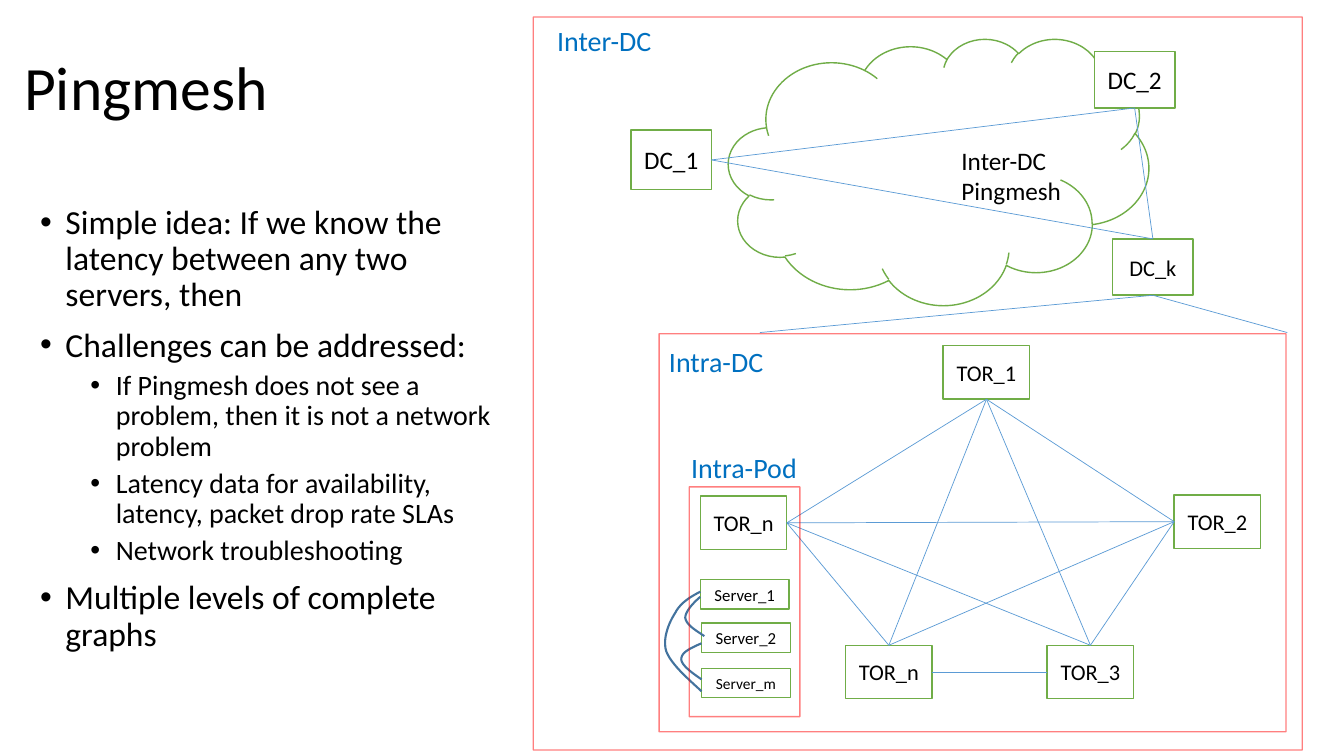
"""Build the Pingmesh slide: bullets beside the inter-DC, intra-DC and intra-pod graphs."""
from dataclasses import dataclass
from itertools import combinations

from lxml import etree
from pptx import Presentation
from pptx.dml.color import RGBColor
from pptx.enum.shapes import MSO_CONNECTOR, MSO_SHAPE
from pptx.enum.text import MSO_ANCHOR, MSO_AUTO_SIZE, PP_ALIGN
from pptx.oxml.ns import qn
from pptx.util import Cm, Pt

STRAIGHT = MSO_CONNECTOR.STRAIGHT
RECTANGLE, CLOUD = MSO_SHAPE.RECTANGLE, MSO_SHAPE.CLOUD
TOP_ANCHOR, MIDDLE = MSO_ANCHOR.TOP, MSO_ANCHOR.MIDDLE
GROW, FIXED = MSO_AUTO_SIZE.SHAPE_TO_FIT_TEXT, MSO_AUTO_SIZE.NONE
LEFT_ALIGN, CENTER = PP_ALIGN.LEFT, PP_ALIGN.CENTER
TOP, LEFT, BOTTOM, RIGHT = range(4)


@dataclass(frozen=True)
class Theme:
    """Colours and type sizes of the slide."""
    font: str = "Calibri"
    ink: str = "000000"
    paper: str = "FFFFFF"
    heading: str = "0070C0"
    node: str = "70AD47"
    link: str = "5B9BD5"
    loop: str = "43739E"
    frame: str = "FF0000"
    title: int = 44
    bullet: int = 24
    label: int = 20
    site: int = 18
    switch: int = 16
    server: int = 12
    last_server: int = 11


THEME = Theme()


@dataclass(frozen=True)
class Area:
    """A rectangle in centimetres."""
    left: float
    top: float
    width: float
    height: float

    def lengths(self) -> tuple:
        """Return the four sides as slide lengths."""
        return Cm(self.left), Cm(self.top), Cm(self.width), Cm(self.height)


@dataclass(frozen=True)
class Node:
    """A labelled box and the side its mesh links meet."""
    text: str
    area: Area
    size: int
    side: int = RIGHT


@dataclass(frozen=True)
class Bullet:
    """One bullet paragraph."""
    text: str
    level: int = 0


@dataclass(frozen=True)
class Label:
    """A free-standing caption."""
    text: str
    area: Area
    size: int = THEME.label
    color: str = THEME.heading


BULLETS = [
    Bullet("Simple idea: If we know the latency between any two servers, then"),
    Bullet("Challenges can be addressed:"),
    Bullet("If Pingmesh does not see a problem, then it is not a network problem", 1),
    Bullet("Latency data for availability, latency, packet drop rate SLAs", 1),
    Bullet("Network troubleshooting", 1),
    Bullet("Multiple levels of complete graphs"),
]
SITES = [
    Node("DC_1", Area(15.9, 3.28, 2.03, 1.5), THEME.site, RIGHT),
    Node("DC_2", Area(27.58, 1.3, 2.03, 1.42), THEME.site, BOTTOM),
    Node("DC_k", Area(28.04, 6.02, 2.03, 1.42), THEME.switch, TOP),
]
SWITCHES = [
    Node("TOR_1", Area(23.77, 8.71, 2.18, 1.35), THEME.switch, BOTTOM),
    Node("TOR_2", Area(29.59, 12.47, 2.18, 1.35), THEME.switch, LEFT),
    Node("TOR_n", Area(17.65, 12.5, 2.18, 1.35), THEME.switch, RIGHT),
    Node("TOR_n", Area(21.31, 16.26, 2.18, 1.35), THEME.switch, TOP),
    Node("TOR_3", Area(26.39, 16.26, 2.18, 1.35), THEME.switch, TOP),
]
SERVERS = [
    Node("Server_1", Area(17.65, 14.61, 2.24, 0.74), THEME.server),
    Node("Server_2", Area(17.68, 15.7, 2.24, 0.74), THEME.server),
    Node("Server_m", Area(17.68, 16.84, 2.24, 0.74), THEME.last_server),
]
FRAMES = [Area(13.44, 0.43, 19.38, 18.47), Area(16.61, 8.41, 15.8, 10.03),
          Area(17.37, 12.27, 2.79, 5.79)]
LABELS = [
    Label("Inter-DC", Area(13.79, 0.46, 2.97, 1.12)),
    Label("Intra-DC", Area(16.61, 8.56, 2.97, 1.12)),
    Label("Intra-Pod", Area(17.17, 11.23, 3.73, 1.12)),
    Label("Inter-DC\nPingmesh", Area(23.98, 3.53, 3.05, 1.8), THEME.site, THEME.ink),
]
SERVER_LOOPS = [
    [(17.65, 14.91), (17.4, 15.04), (17.15, 15.19), (17.02, 15.44), (16.87, 15.67),
     (16.69, 16.08), (16.79, 16.41), (16.92, 16.74), (17.3, 17.07), (17.68, 17.42)],
    [(17.65, 15.04), (17.45, 15.21), (17.27, 15.42), (17.27, 15.57), (17.3, 15.75),
     (17.53, 15.88), (17.75, 16.03)],
    [(17.68, 16.21), (17.42, 16.33), (17.17, 16.43), (17.17, 16.61), (17.17, 16.76),
     (17.42, 16.94), (17.68, 17.12)],
]
ZOOM_ENDS = [(19.15, 8.38), (32.44, 8.38)]


def write(para, text: str, *, size: int, color: str = THEME.ink, align=LEFT_ALIGN,
          spacing: float = 1.0, before: float = 0) -> None:
    """Write one formatted span into a paragraph."""
    para.alignment, para.line_spacing, para.space_before = align, spacing, Pt(before)
    span = para.add_run()
    span.text = text
    span.font.name, span.font.size = THEME.font, Pt(size)
    span.font.color.rgb = RGBColor.from_string(color)


def add_text_box(page, area: Area, *, anchor=TOP_ANCHOR, wrap: bool = True, fit=FIXED):
    """Add an empty text box and return its text frame."""
    frame = page.shapes.add_textbox(*area.lengths()).text_frame
    frame.word_wrap, frame.auto_size, frame.vertical_anchor = wrap, fit, anchor
    return frame


def next_para(frame, index: int):
    """Return the first paragraph of a frame or append another."""
    return frame.add_paragraph() if index else frame.paragraphs[0]


def add_bullets(page, area: Area) -> None:
    """Add the two-level bullet list."""
    frame = add_text_box(page, area)
    for index, bullet in enumerate(BULLETS):
        para = next_para(frame, index)
        para.level = bullet.level
        properties = para._p.get_or_add_pPr()
        properties.set("marL", str(Cm(0.64 + 1.27 * bullet.level)))
        properties.set("indent", str(-Cm(0.64)))
        etree.SubElement(properties, qn("a:buFont"), typeface="Arial")
        etree.SubElement(properties, qn("a:buChar"), char="•")
        size = THEME.label if bullet.level else THEME.bullet
        before = 0 if index == 0 else 10 - 5 * bullet.level
        write(para, bullet.text, size=size, spacing=0.9, before=before)


def add_label(page, label: Label) -> None:
    """Add a caption of one or more lines."""
    frame = add_text_box(page, label.area, wrap=False, fit=GROW)
    for index, line in enumerate(label.text.split("\n")):
        write(next_para(frame, index), line, size=label.size, color=label.color)


def set_line(item, color: str, width: float) -> None:
    """Set the line colour and width of a shape or connector."""
    item.line.color.rgb, item.line.width = RGBColor.from_string(color), Pt(width)


def add_outline(page, kind, area: Area, color: str, filled: bool = True):
    """Add a preset shape with a thin outline."""
    shape = page.shapes.add_shape(kind, *area.lengths())
    shape.shadow.inherit = False
    if filled:
        shape.fill.solid()
        shape.fill.fore_color.rgb = RGBColor.from_string(THEME.paper)
    else:
        shape.fill.background()
    set_line(shape, color, 1)
    return shape


def add_node(page, node: Node):
    """Add a labelled box."""
    box = add_outline(page, RECTANGLE, node.area, THEME.node)
    box.text_frame.vertical_anchor = MIDDLE
    write(box.text_frame.paragraphs[0], node.text, size=node.size, align=CENTER)
    return box


def add_frame(page, area: Area) -> None:
    """Add a half-transparent frame around one level."""
    frame = add_outline(page, RECTANGLE, area, THEME.frame, filled=False)
    color = frame.line._ln.find(".//" + qn("a:srgbClr"))
    etree.SubElement(color, qn("a:alpha"), val="50000")


def add_link(page, start, start_side: int, end=None, end_side: int = TOP,
             point: tuple = (0, 0)) -> None:
    """Link a box side to another box side or to a point."""
    x, y = map(Cm, point)
    link = page.shapes.add_connector(STRAIGHT, x, y, x, y)
    link.begin_connect(start, start_side)
    if end is not None:
        link.end_connect(end, end_side)
    set_line(link, THEME.link, 0.5)
    etree.SubElement(link._element.spPr, qn("a:effectLst"))


def add_loop(page, controls: list, steps: int = 12) -> None:
    """Add an open curve through chained cubic segments."""
    points = []
    for first in range(0, len(controls) - 1, 3):
        for t in (step / steps for step in range(1, steps + 1)):
            weights = ((1 - t) ** 3, 3 * t * (1 - t) ** 2, 3 * t * t * (1 - t), t ** 3)
            corners = zip(*controls[first:first + 4])
            points.append(tuple(Cm(sum(w * v for w, v in zip(weights, axis)))
                                for axis in corners))
    builder = page.shapes.build_freeform(*map(Cm, controls[0]))
    builder.add_line_segments(points, close=False)
    loop = builder.convert_to_shape()
    loop.shadow.inherit = False
    loop.fill.background()
    set_line(loop, THEME.loop, 1.5)


def add_mesh(page, nodes: list) -> list:
    """Draw nodes as a complete graph and return their boxes."""
    boxes = [add_node(page, node) for node in nodes]
    for (start, box), (end, other) in combinations(list(zip(nodes, boxes)), 2):
        level = start.side == end.side
        sides = (RIGHT, LEFT) if level else (start.side, end.side)
        add_link(page, box, sides[0], other, sides[1])
    return boxes


def main() -> None:
    """Build and save the deck."""
    deck = Presentation()
    deck.slide_width, deck.slide_height = Cm(33.87), Cm(19.05)
    page = deck.slides.add_slide(deck.slide_layouts[6])
    title = add_text_box(page, Area(0.36, 0.43, 15.34, 3.68), anchor=MIDDLE)
    write(title.paragraphs[0], "Pingmesh", size=THEME.title, spacing=0.9)
    add_bullets(page, Area(0.76, 5.05, 12.37, 12.09))
    add_outline(page, CLOUD, Area(18.36, 0.97, 10.59, 6.71), THEME.node)
    zoomed_site = add_mesh(page, SITES)[-1]
    for point in ZOOM_ENDS:
        add_link(page, zoomed_site, BOTTOM, point=point)
    add_mesh(page, SWITCHES)
    for server in SERVERS:
        add_node(page, server)
    for controls in SERVER_LOOPS:
        add_loop(page, controls)
    for area in FRAMES:
        add_frame(page, area)
    for label in LABELS:
        add_label(page, label)
    deck.save("out.pptx")


if __name__ == "__main__":
    main()
